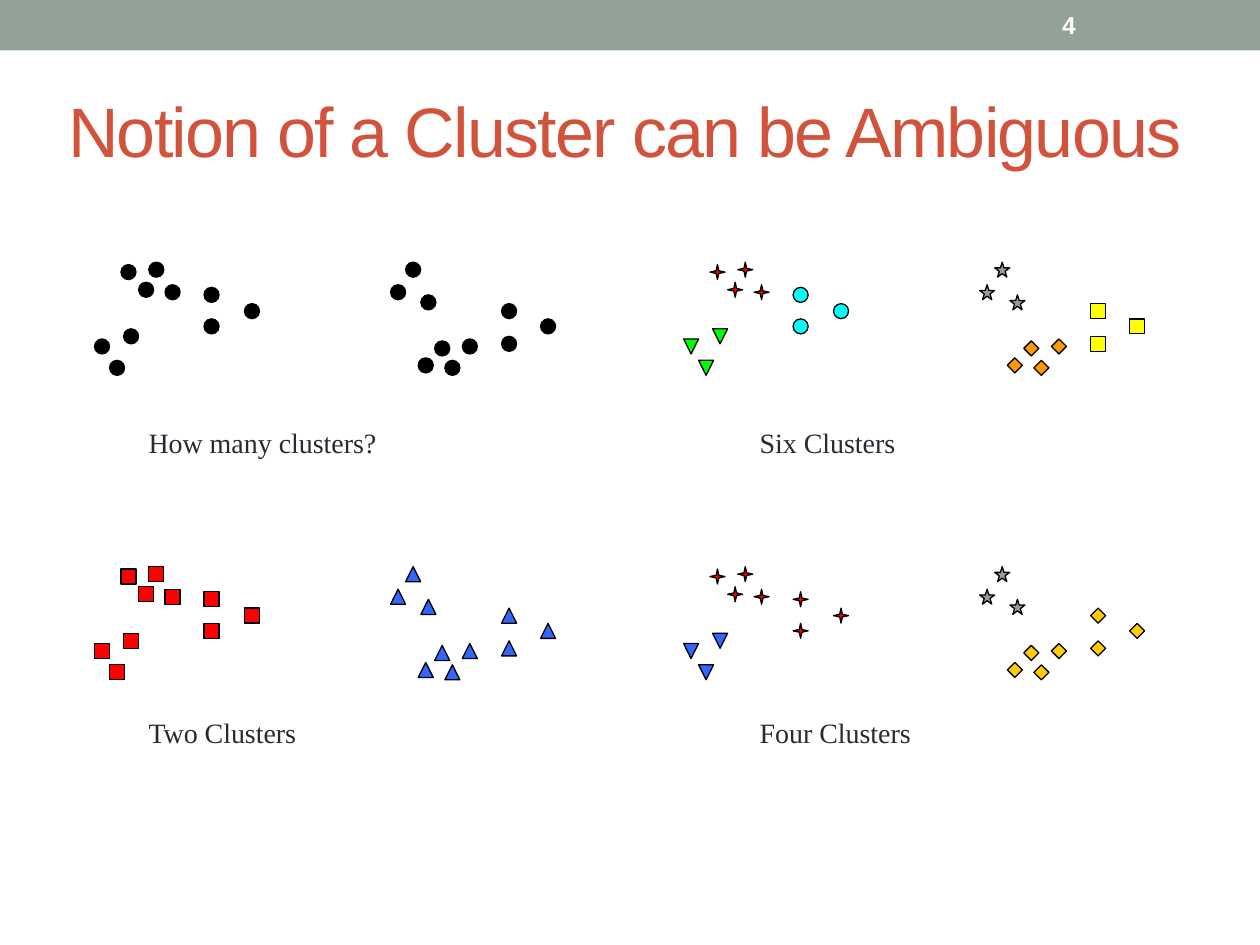
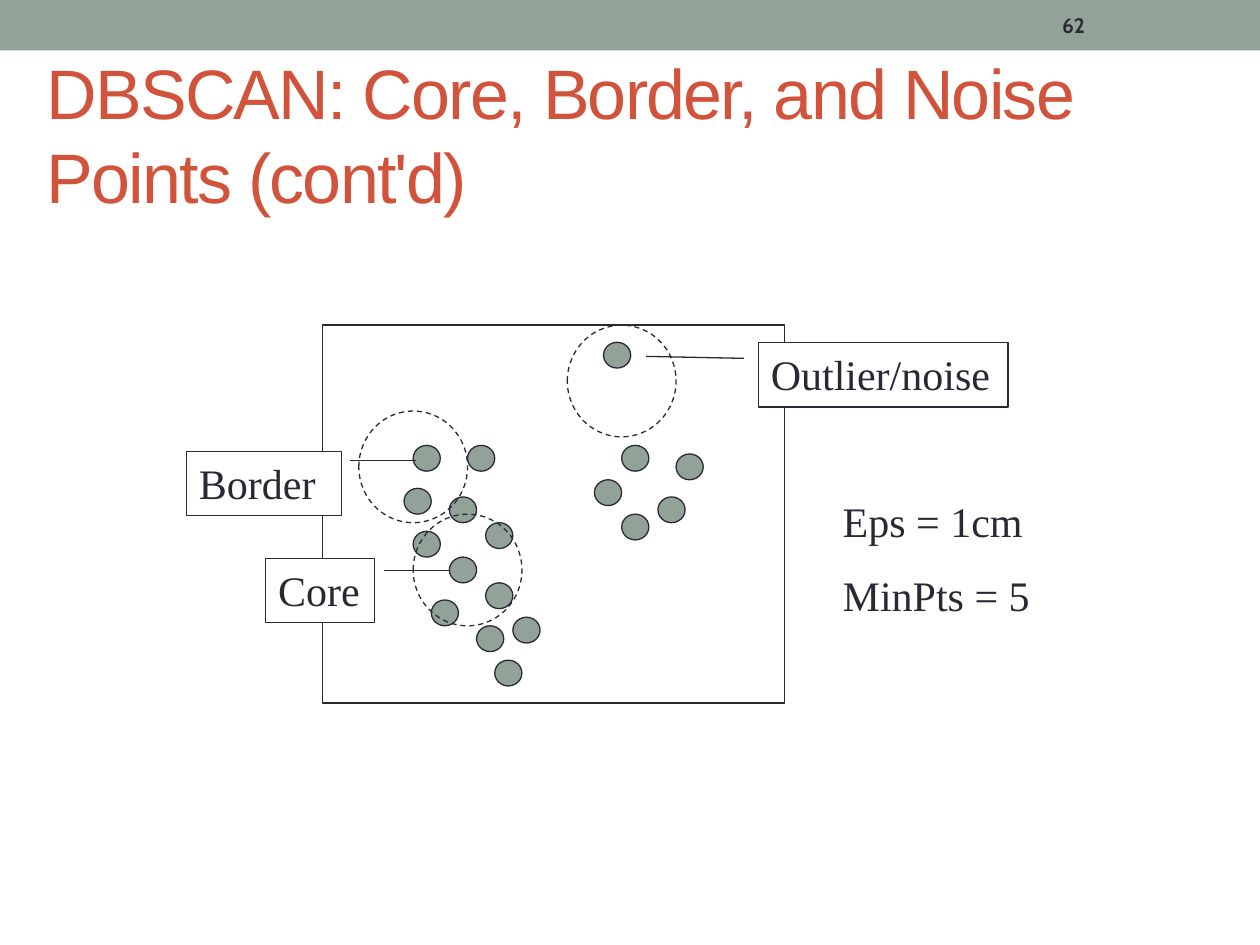
from dataclasses import dataclass

from lxml.etree import SubElement
from pptx import Presentation
from pptx.dml.color import RGBColor
from pptx.enum.dml import MSO_LINE_DASH_STYLE as Dash
from pptx.enum.shapes import MSO_SHAPE as Shape
from pptx.enum.text import MSO_ANCHOR as Anchor, MSO_AUTO_SIZE as AutoSize, PP_ALIGN as Align
from pptx.util import Pt


@dataclass(frozen=True)
class Theme:
    sage: str = "93A299"
    rust: str = "D2533C"
    ink: str = "292934"
    black: str = "000000"
    white: str = "FFFFFF"
    red: str = "FF0000"
    blue: str = "3366FF"
    green: str = "00FF00"
    cyan: str = "00FFFF"
    yellow: str = "FFFF00"
    orange: str = "FF9900"
    gold: str = "FFCC00"
    sans: str = "Arial"
    serif: str = "Times New Roman"
    title_size: float = 40
    label_size: float = 24
    caption_size: float = 16
    line_width: float = 0.75


THEME = Theme()
SLIDE_SIZE = (720, 540)
BAND = (0, 0, 720, 28.8)
NUMBER_BOX = (599.8, 1.4, 84.2, 25.9)

AMBIGUITY = {
    "title": "Notion of a Cluster can be Ambiguous",
    "title_box": (31.7, 52.6, 652.3, 43.2),
    "number": ("4", {"size": Pt(14), "name": THEME.sans, "bold": True}, THEME.white),
}
DBSCAN = {
    "title": "DBSCAN: Core, Border, and Noise Points (cont'd)",
    "title_box": (19.4, 37.4, 671.8, 77.8),
    "number": ("62", {"size": Pt(12), "name": "Cabin", "bold": True}, THEME.ink),
}

# The same six groups of points appear in every panel.
POINT_GROUPS = {
    "lower right": [(264.2, 193.7), (239, 204.5), (254.2, 205.9), (248.4, 194.8)],
    "top right": [(240.5, 168.5), (223.2, 162.7), (231.8, 149.8)],
    "far right": [(286.6, 192.2), (308.9, 182.2), (286.6, 173.5)],
    "top left": [(94.3, 162.7), (69.1, 151.2), (85, 149.8), (79.2, 161.3)],
    "lower left": [(70.6, 187.9), (54, 193.7), (62.6, 205.9)],
    "mid left": [(116.6, 164.2), (139.7, 173.5), (116.6, 182.2)],
}
MARK_SIZE = 8.6
PANEL_STEP = (336.6, 174)
CAPTION_START, CAPTION_STEP = (77.8, 239.8), (349.2, 165.6)
CAPTION_SIZE = (180, 26.6)

DOT = (Shape.OVAL, THEME.black)
SQUARE = (Shape.RECTANGLE, THEME.red)
TRIANGLE = (Shape.ISOSCELES_TRIANGLE, THEME.blue)
RED_STAR = (Shape.STAR_4_POINT, THEME.red)
GREY_STAR = (Shape.STAR_5_POINT, THEME.sage)
GOLD_DIAMOND = (Shape.DIAMOND, THEME.gold)
# Caption, column, row, then one mark for each point group in order.
PANELS = [
    ("How many clusters?", 0, 0, [DOT] * 6),
    ("Four Clusters", 1, 1, [GOLD_DIAMOND, GREY_STAR, GOLD_DIAMOND, RED_STAR,
                             (Shape.FLOWCHART_EXTRACT, THEME.blue), RED_STAR]),
    ("Two Clusters", 0, 1, [TRIANGLE] * 3 + [SQUARE] * 3),
    ("Six Clusters", 1, 0, [(Shape.DIAMOND, THEME.orange), GREY_STAR,
                            (Shape.RECTANGLE, THEME.yellow), RED_STAR,
                            (Shape.ISOSCELES_TRIANGLE, THEME.green),
                            (Shape.OVAL, THEME.cyan)]),
]

# Points and neighbourhoods sit on a grid of 51 by 44 units inside the frame.
FRAME = (184.3, 185.8, 264.2, 216)
FRAME_UNITS = (51, 44)
DOT_UNITS, EPS_UNITS = (3, 3), (12, 13)
DATA_DOTS = [
    (10, 14), (9, 19), (14, 20), (16, 14), (18, 23), (10, 24), (14, 27), (12, 32), (17, 35),
    (19, 39), (18, 30), (21, 34), (31, 2), (33, 14), (30, 18), (37, 20), (39, 15), (33, 22),
]
EPS_CIRCLES = [(4, 10), (10, 22), (27, 0)]
CALLOUTS = [
    ("Core", (151.9, 319, 62.2, 36.7), (0.188, 1.083, 0.188, 1.688)),
    ("Border", (106.6, 257.8, 88.4, 36.7), (0.145, 1.059, 0.145, 1.485)),
    ("Outlier/noise", (433.4, 195.8, 142.6, 36.7), (0.245, -0.058, 0.214, -0.45)),
]
PARAMETERS = ["Eps = 1cm", "MinPts = 5"]
PARAMETER_BOX = (474.5, 279.4, 129.6, 79.2)
PARAMETER_GAP = 13.5


def rgb(code):
    return RGBColor.from_string(code)


def apply(target, **values):
    for name, value in values.items():
        setattr(target, name, value)


def place(shape, box):
    apply(shape, **dict(zip(("left", "top", "width", "height"), map(Pt, box))))


def write(shape, lines, font, color, anchor=Anchor.TOP, gap=0):
    """Fill a shape with left-aligned paragraphs, with a gap between them."""
    frame = shape.text_frame
    apply(frame, word_wrap=True, auto_size=AutoSize.NONE, vertical_anchor=anchor)
    for index, line in enumerate(lines):
        para = frame.add_paragraph() if index else frame.paragraphs[0]
        para.alignment = Align.LEFT
        if index and gap:
            para.space_before = Pt(gap)
        span = para.add_run()
        span.text = line
        apply(span.font, **font)
        span.font.color.rgb = rgb(color)


def serif(size):
    return {"name": THEME.serif, "size": Pt(size)}


def add_text(shapes, box, lines, font, color, **layout):
    text_box = shapes.add_textbox(*map(Pt, box))
    write(text_box, lines, font, color, **layout)


def add_figure(shapes, kind, box, fill=None, line=None, dash=None):
    figure = shapes.add_shape(kind, *map(Pt, box))
    figure.shadow.inherit = False
    if fill:
        figure.fill.solid()
        figure.fill.fore_color.rgb = rgb(fill)
    else:
        figure.fill.background()
    if line:
        figure.line.color.rgb = rgb(line)
        apply(figure.line, width=Pt(THEME.line_width), dash_style=dash)
    else:
        figure.line.fill.background()
    return figure


def start_page(deck, content):
    """Add a slide with the band, title and number that all slides share."""
    page = deck.slides.add_slide(deck.slide_layouts[5])
    band = add_figure(page.shapes, Shape.RECTANGLE, BAND, THEME.sage)
    title = page.shapes.title
    title._element.addprevious(band._element)
    place(title, content["title_box"])
    write(title, [content["title"]], {"name": THEME.sans, "size": Pt(THEME.title_size)},
          THEME.rust, Anchor.MIDDLE)
    title.text_frame.paragraphs[0].runs[0].font._element.set("spc", "-100")
    number, font, color = content["number"]
    add_text(page.shapes, NUMBER_BOX, [number], font, color, anchor=Anchor.MIDDLE)
    return page


def add_panel(page, caption, column, row, marks):
    panel = page.shapes.add_group_shape().shapes
    dx, dy = column * PANEL_STEP[0], row * PANEL_STEP[1]
    for (group, points), (kind, color) in zip(POINT_GROUPS.items(), marks):
        for x, y in points:
            mark = add_figure(panel, kind, (x + dx, y + dy, MARK_SIZE, MARK_SIZE),
                              color, THEME.black)
            if kind == Shape.STAR_4_POINT:
                mark.adjustments[0] = 0.125
            if group.endswith(" left"):
                mark._element.spPr.get_or_add_xfrm().set("flipV", "1")
    left = CAPTION_START[0] + column * CAPTION_STEP[0]
    top = CAPTION_START[1] + row * CAPTION_STEP[1]
    add_text(panel, (left, top, *CAPTION_SIZE), [caption], serif(THEME.caption_size), THEME.ink)


def grid_box(cell, units):
    """Turn a grid position and a size in units into a box in points."""
    step_x, step_y = FRAME[2] / FRAME_UNITS[0], FRAME[3] / FRAME_UNITS[1]
    return (FRAME[0] + cell[0] * step_x, FRAME[1] + cell[1] * step_y,
            units[0] * step_x, units[1] * step_y)


def add_dbscan_diagram(page):
    diagram = page.shapes.add_group_shape().shapes
    for cell in DATA_DOTS:
        add_figure(diagram, Shape.OVAL, grid_box(cell, DOT_UNITS), THEME.sage, THEME.ink)
    add_figure(diagram, Shape.RECTANGLE, FRAME, line=THEME.ink)
    for cell in EPS_CIRCLES:
        add_figure(diagram, Shape.OVAL, grid_box(cell, EPS_UNITS), line=THEME.ink, dash=Dash.DASH)
    label_font = serif(THEME.label_size)
    for label, box, pointer in CALLOUTS:
        callout = add_figure(diagram, Shape.LINE_CALLOUT_1, box, THEME.white, THEME.ink)
        for index, value in enumerate(pointer):
            callout.adjustments[index] = value
        write(callout, [label], label_font, THEME.ink)
    add_text(diagram, PARAMETER_BOX, PARAMETERS, label_font, THEME.ink, gap=PARAMETER_GAP)


def main():
    deck = Presentation()
    deck.slide_width, deck.slide_height = map(Pt, SLIDE_SIZE)
    page = start_page(deck, AMBIGUITY)
    for panel in PANELS:
        add_panel(page, *panel)
    add_dbscan_diagram(start_page(deck, DBSCAN))
    deck.save("out.pptx")


if __name__ == "__main__":
    main()
